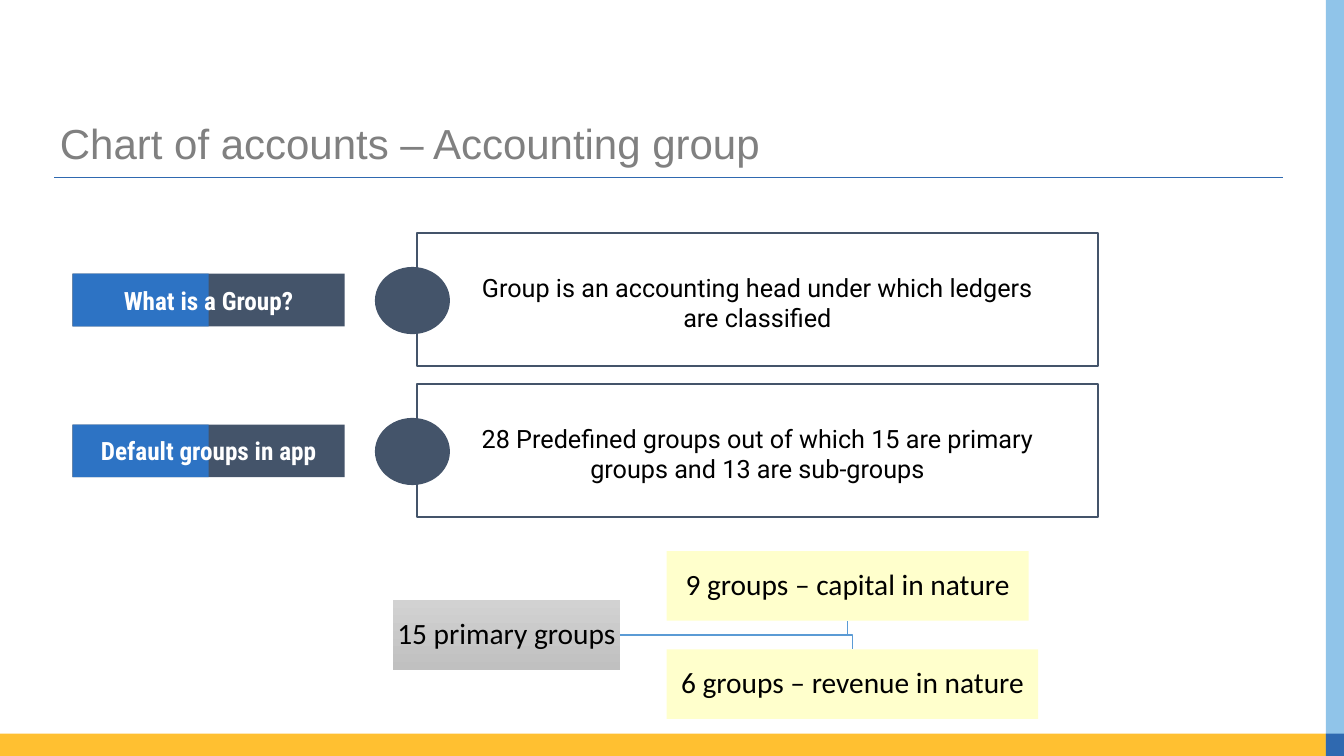
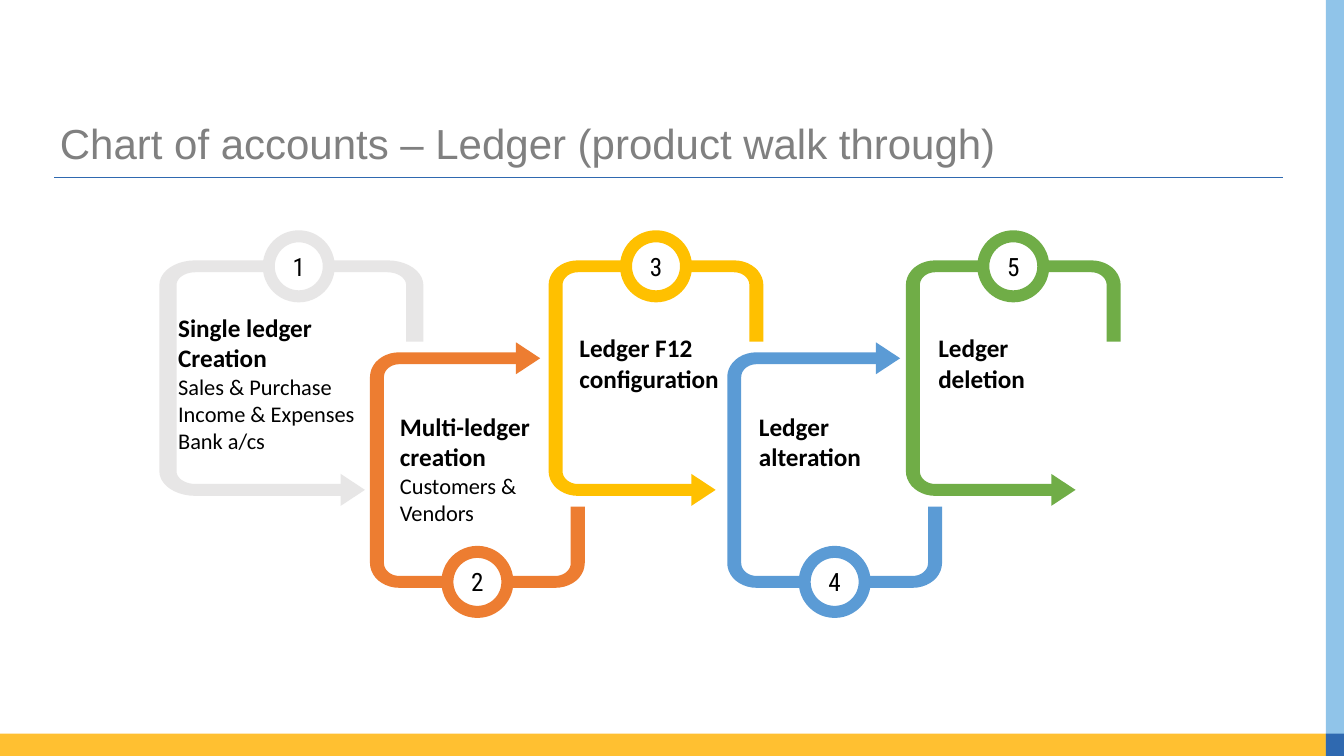
from dataclasses import dataclass
from math import cos, radians, sin

from lxml.etree import SubElement
from pptx import Presentation
from pptx.dml.color import RGBColor
from pptx.enum.shapes import MSO_CONNECTOR as Link, MSO_SHAPE as Preset
from pptx.enum.text import MSO_ANCHOR as Anchor, PP_ALIGN as Align
from pptx.oxml.ns import qn
from pptx.util import Pt

# Colours
WHITE = RGBColor(0xFF, 0xFF, 0xFF)
BLACK = RGBColor(0x00, 0x00, 0x00)
TITLE_GREY = RGBColor(0x80, 0x80, 0x80)
BAND_YELLOW = RGBColor(0xFF, 0xC0, 0x31)
BAND_SKY = RGBColor(0x90, 0xC4, 0xE9)
BAND_BLUE = RGBColor(0x2F, 0x69, 0xB0)
SLATE = RGBColor(0x44, 0x54, 0x6A)
TAG_BLUE = RGBColor(0x2D, 0x73, 0xC4)
CREAM = RGBColor(0xFF, 0xFF, 0xCC)
ROOT_TOP = RGBColor(0xD2, 0xD2, 0xD2)
ROOT_BOTTOM = RGBColor(0xC0, 0xC0, 0xC0)
SILVER = RGBColor(0xE7, 0xE6, 0xE6)
ORANGE = RGBColor(0xED, 0x7D, 0x31)
GOLD = RGBColor(0xFF, 0xC0, 0x00)
BLUE = RGBColor(0x5B, 0x9B, 0xD5)
GREEN = RGBColor(0x70, 0xAD, 0x47)

# Text formats
TITLE = {"name": "Arial", "size": Pt(30), "bold": False}
TAG = {"name": "Roboto Condensed", "size": Pt(18), "bold": True}
ANSWER = {"name": "Roboto", "size": Pt(18), "bold": False}
BRANCH = {"name": "Calibri", "size": Pt(21), "bold": False}
NUMBER = {"name": "Roboto Condensed", "size": Pt(18), "bold": False}
STEP = {"name": "Calibri", "size": Pt(18), "bold": True}
DETAIL = {"name": "Calibri", "size": Pt(16), "bold": False}

# Bracket around a step, in points
BRACKET_WIDTH, BRACKET_HEIGHT = 153.4, 168.2
CORNER_X, CORNER_Y = 20.9, 17.6
SIDE, BAR = 10, 8.5
TAIL = 58
UPPER_TOP, LOWER_TOP = 186, 251.7
FIRST_RING, RING_PITCH, RING_SIZE = 213.4, 127.6, 42.9


@dataclass
class Step:
    color: RGBColor
    head_left: float
    label: tuple  # left, top, width
    name: str
    details: tuple = ()
    left: float = None
    width: float = BRACKET_WIDTH


STEPS = [
    Step(SILVER, 243.4, (120.2, 216, 147), "Single ledger Creation",
         ("Sales & Purchase", "Income & Expenses", "Bank a/cs"), 113.8, 188.6),
    Step(ORANGE, 368.6, (278.6, 286.6, 113.8), "Multi-ledger creation",
         ("Customers & Vendors",)),
    Step(GOLD, 493.9, (406.8, 230.4, 123), "Ledger F12 configuration"),
    Step(BLUE, 625.7, (535, 286.6, 123), "Ledger alteration"),
    Step(GREEN, 751, (663.1, 230.4, 123), "Ledger deletion"),
]


def set_all(target, values):
    for key, value in values.items():
        setattr(target, key, value)


def paint(shape, fill=None, line=None, weight=1):
    shape.shadow.inherit = False
    if fill is None:
        shape.fill.background()
    else:
        shape.fill.solid()
        shape.fill.fore_color.rgb = fill
    if line is None:
        shape.line.fill.background()
    else:
        shape.line.color.rgb = line
        shape.line.width = Pt(weight)
    return shape


def draw(slide, preset, box, **colours):
    shape = slide.shapes.add_shape(preset, *map(Pt, box))
    return paint(shape, **colours)


def outline(slide, points, fill):
    start, *rest = [(Pt(x), Pt(y)) for x, y in points]
    builder = slide.shapes.build_freeform(*start, scale=1.0)
    builder.add_line_segments(rest, close=True)
    return paint(builder.convert_to_shape(), fill)


def write(shape, lines, color=BLACK, align=Align.CENTER, anchor=Anchor.MIDDLE,
          inset=(0, 0), spacing=None):
    """Fill a shape with (text, format) lines; inset is horizontal, vertical."""
    frame = shape.text_frame
    across, down = map(Pt, inset)
    set_all(frame, {"word_wrap": True, "vertical_anchor": anchor,
                    "margin_left": across, "margin_right": across,
                    "margin_top": down, "margin_bottom": down})
    for index, (text, font) in enumerate(lines):
        paragraph = frame.add_paragraph() if index else frame.paragraphs[0]
        paragraph.text = text
        set_all(paragraph, {"alignment": align, "line_spacing": spacing})
        set_all(paragraph.font, font)
        paragraph.font.color.rgb = color


def text_box(slide, box, lines, **options):
    write(slide.shapes.add_textbox(*map(Pt, box)), lines, **options)


def connect(slide, kind, start, end, color, weight):
    link = slide.shapes.add_connector(kind, *map(Pt, start + end))
    link.line.color.rgb = color
    link.line.width = Pt(weight)
    SubElement(link.element.spPr, qn("a:effectLst"))
    return link


# Shared frame
def prepare_layout(deck):
    """Give the title-only layout its title place, rule and bands."""
    layout = deck.slide_layouts.get_by_name("Title Only")
    for holder in list(layout.placeholders):
        if holder.placeholder_format.idx:
            holder.element.getparent().remove(holder.element)
    set_all(layout.placeholders[0], {"left": Pt(35.6), "top": Pt(86.4),
                                     "width": Pt(878), "height": Pt(36)})
    return layout


def move_frame_to_layout(slide, layout):
    frame = [connect(slide, Link.STRAIGHT, (38.9, 126.7), (916.6, 126.7), BAND_BLUE, 0.82)]
    for box, color in (((0, 524, 954, 16), BAND_YELLOW),
                       ((947, 0, 13, 535), BAND_SKY),
                       ((947, 524, 13, 16), BAND_BLUE)):
        frame.append(draw(slide, Preset.RECTANGLE, box, fill=color))
    for part in frame:
        layout.shapes.element.append(part.element)


def add_titled_slide(deck, layout, title):
    slide = deck.slides.add_slide(layout)
    write(slide.shapes.title, [(title, TITLE)], TITLE_GREY, Align.LEFT,
          inset=(7.2, 3.6), spacing=0.9)
    return slide


# Accounting group
def add_question(slide, top, question, answer):
    box = draw(slide, Preset.RECTANGLE, (298, top, 486, 95), line=SLATE, weight=1.5)
    write(box, [(answer, ANSWER)], inset=(41, 0))
    box.text_frame.margin_top = Pt(4)
    tag = (51.8, top + 29, 194.4, 37.6)
    draw(slide, Preset.RECTANGLE, tag, fill=SLATE)
    draw(slide, Preset.RECTANGLE, (*tag[:2], tag[2] / 2, tag[3]), fill=TAG_BLUE)
    draw(slide, Preset.OVAL, (267.8, top + 24.2, 53.6, 48), fill=SLATE)
    text_box(slide, tag, [(question, TAG)], color=WHITE)


def add_branch(slide, box, text):
    shape = draw(slide, Preset.RECTANGLE, box, fill=CREAM)
    write(shape, [(text, BRANCH)], inset=(0.7, 0.7), spacing=0.9)
    return shape


def add_group_tree(slide):
    root = add_branch(slide, (280.4, 428.6, 162.7, 49.7), "15 primary groups")
    root.fill.gradient()
    root.fill.gradient_angle = 270
    for stop, color in zip(root.fill.gradient_stops, (ROOT_TOP, ROOT_BOTTOM)):
        stop.color.rgb = color
    # Connection sites of a rectangle: 0 top, 1 left, 2 bottom, 3 right
    for top, width, text, site in ((393.6, 258.5, "9 groups – capital in nature", 2),
                                   (463.8, 265.4, "6 groups – revenue in nature", 0)):
        branch = add_branch(slide, (476.2, top, width, 49.7), text)
        link = connect(slide, Link.ELBOW, (0, 0), (0, 0), BLUE, 1)
        link.begin_connect(root, 3)
        link.end_connect(branch, site)
        link.element.xpath(".//a:prstGeom")[0].set("prst", "bentConnector2")


# Ledger steps
def quarter(x, y, radius_x, radius_y, start, turn):
    angles = [radians(start + turn * part / 10) for part in range(11)]
    return [(x + radius_x * cos(a), y + radius_y * sin(a)) for a in angles]


def bracket_points(width, reach):
    """Outline of an upper bracket whose top left corner is at 0, 0."""
    stretch = width / BRACKET_WIDTH
    radius, side = CORNER_X * stretch, SIDE * stretch
    low = BRACKET_HEIGHT - CORNER_Y
    corners = [(radius, low, 90), (radius, CORNER_Y, 180),
               (width - radius, CORNER_Y, 270)]
    outer, inner = [], []
    for x, y, start in corners:
        outer += quarter(x, y, radius, CORNER_Y, start, 90)
        inner += quarter(x, y, radius - side, CORNER_Y - BAR, start, 90)
    return [(reach, BRACKET_HEIGHT), *outer, (width, TAIL), (width - side, TAIL),
            *reversed(inner), (reach, BRACKET_HEIGHT - BAR)]


def add_step(slide, index, step):
    upper = index % 2 == 0
    ring_x = FIRST_RING + RING_PITCH * index
    left = ring_x - BRACKET_WIDTH / 2 if step.left is None else step.left

    def height_at(y):
        return UPPER_TOP + y if upper else LOWER_TOP + BRACKET_HEIGHT - y

    points = bracket_points(step.width, step.head_left + 2 - left)
    outline(slide, [(left + x, height_at(y)) for x, y in points], step.color)
    tip_y = height_at(BRACKET_HEIGHT - BAR / 2)
    outline(slide, [(step.head_left, tip_y - 11.4), (step.head_left, tip_y + 11.4),
                    (step.head_left + 17.3, tip_y)], step.color)

    half = RING_SIZE / 2
    ring = draw(slide, Preset.OVAL,
                (ring_x - half, height_at(BAR / 2) - half, RING_SIZE, RING_SIZE),
                fill=WHITE, line=step.color, weight=8.6)
    write(ring, [(str(index + 1), NUMBER)])

    lines = [(step.name, STEP)] + [(detail, DETAIL) for detail in step.details]
    text_box(slide, (*step.label, 36), lines, align=Align.LEFT, anchor=Anchor.TOP,
             inset=(7.2, 7.2))


def main():
    deck = Presentation()
    set_all(deck, {"slide_width": Pt(960), "slide_height": Pt(540)})
    layout = prepare_layout(deck)

    groups = add_titled_slide(deck, layout, "Chart of accounts – Accounting group")
    move_frame_to_layout(groups, layout)
    add_question(groups, 166.5, "What is a Group?",
                 "Group is an accounting head under which ledgers are classified")
    add_question(groups, 274.3, "Default groups in app",
                 "28 Predefined groups out of which 15 are primary groups "
                 "and 13 are sub-groups")
    add_group_tree(groups)

    ledger = add_titled_slide(deck, layout,
                              "Chart of accounts – Ledger (product walk through)")
    for index, step in enumerate(STEPS):
        add_step(ledger, index, step)

    deck.save("out.pptx")


if __name__ == "__main__":
    main()
